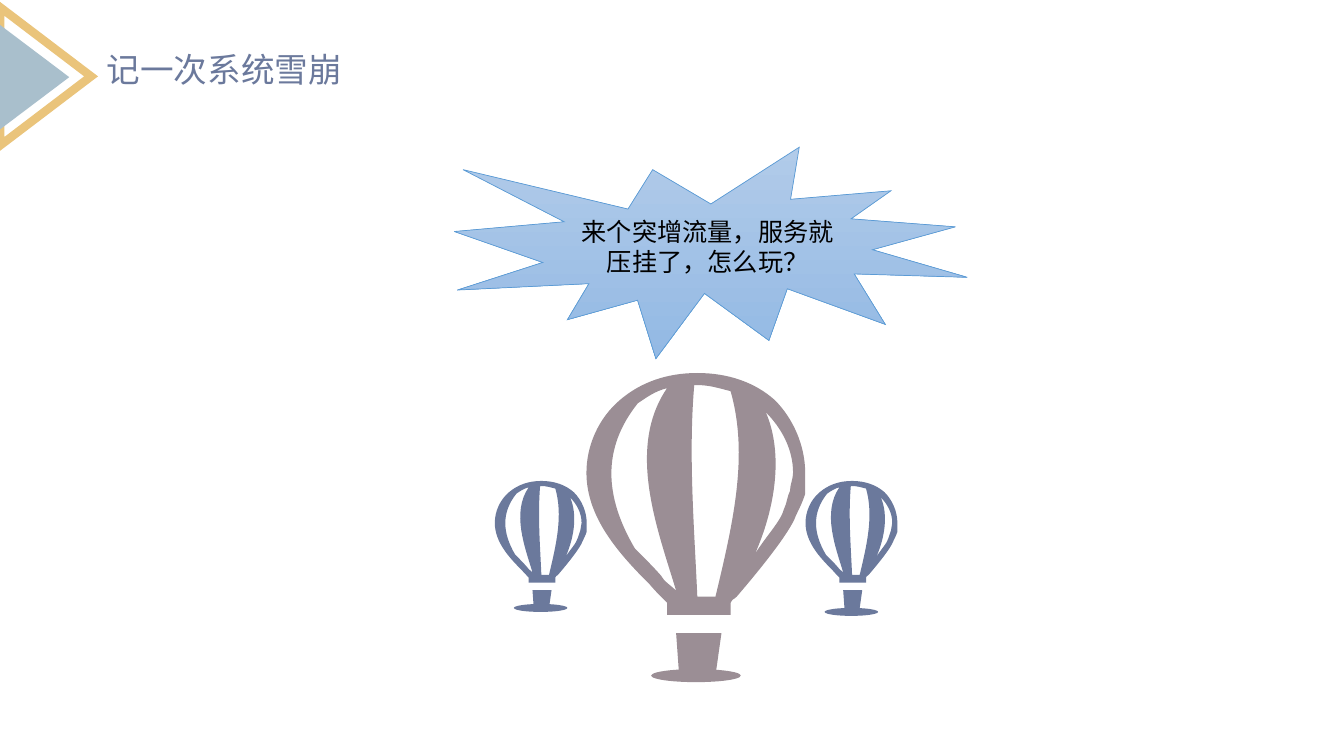
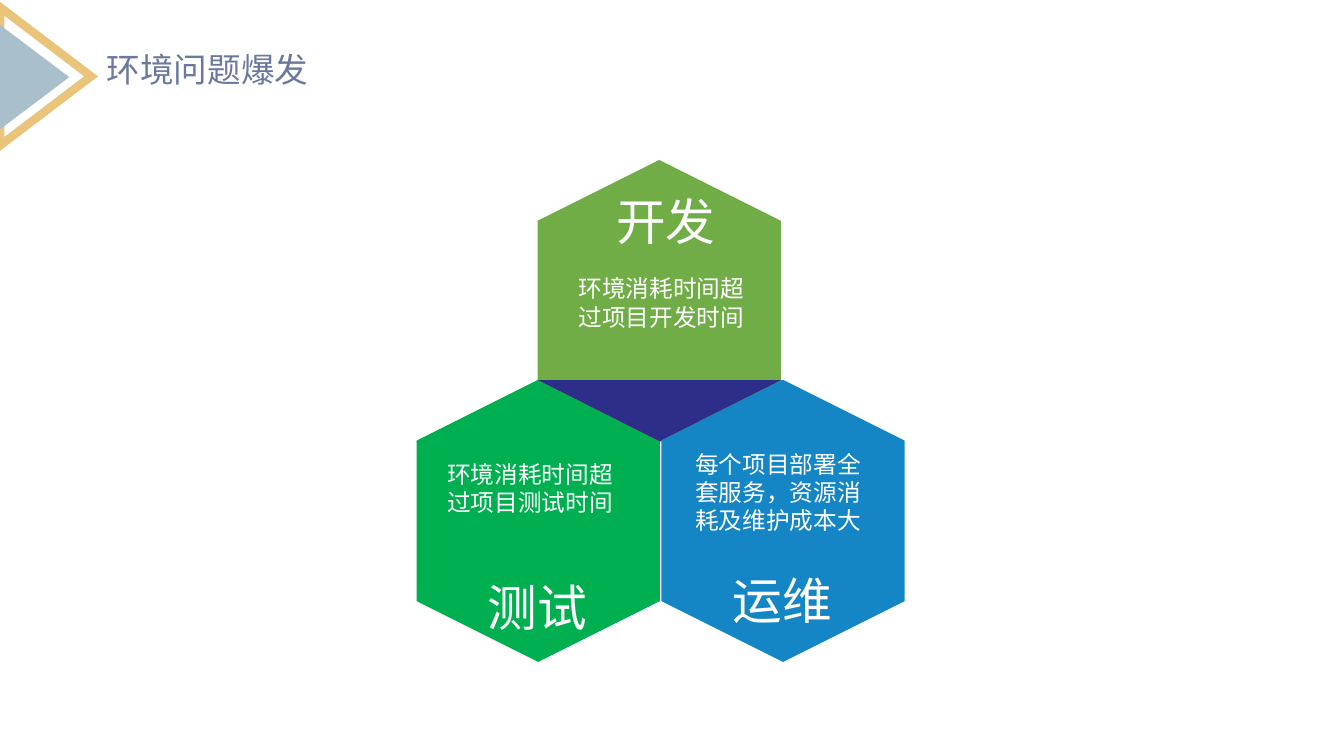
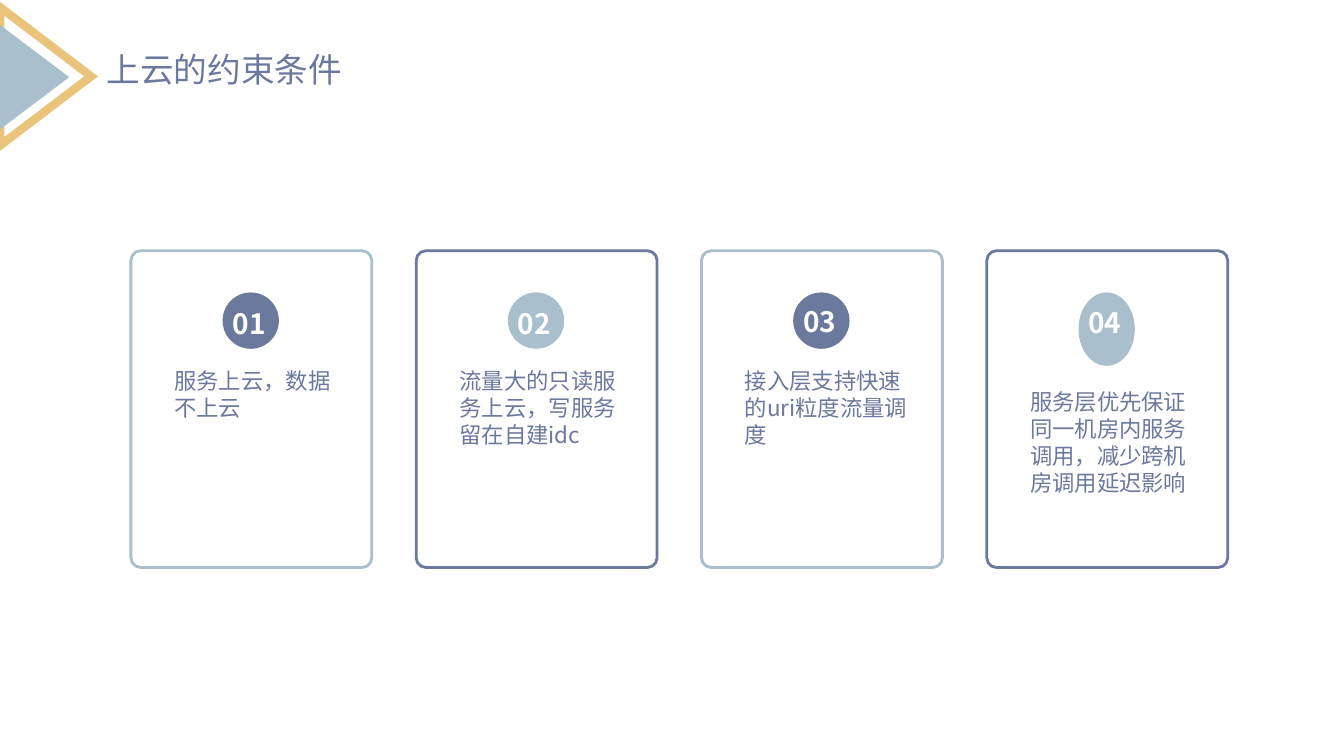
"""Builds three slides on a system overload, its environments and the move to the cloud."""
from dataclasses import dataclass

from lxml.etree import SubElement
from pptx import Presentation
from pptx.dml.color import RGBColor as RGB
from pptx.enum.shapes import MSO_SHAPE as Kind
from pptx.enum.text import MSO_ANCHOR as Anchor, MSO_AUTO_SIZE as Fit, PP_ALIGN as Align
from pptx.oxml.ns import qn
from pptx.util import Cm, Pt


@dataclass(frozen=True)
class Theme:
    slate: str = "6B799C"
    mist: str = "A9BFCC"
    gold: str = "EAC47B"
    mauve: str = "9B8E95"
    sky: str = "5B9BD5"
    light: str = "B1CBE9"
    deep: str = "93B9E4"
    blue: str = "1486C6"
    green: str = "00B050"
    leaf: str = "70AD47"
    navy: str = "2D2D8A"
    white: str = "FFFFFF"
    black: str = "000000"
    font: str = "Noto Sans CJK SC"
    latin: str = "Calibri"
    title: float = 24
    label: float = 35.5
    note: float = 16.9
    body: float = 16
    digit: float = 20
    shout: float = 18


look = Theme()


def paint(shape, fill=None, edge=None, width=0):
    shape.shadow.inherit = False
    if fill:
        shape.fill.solid()
        shape.fill.fore_color.rgb = RGB.from_string(fill)
    else:
        shape.fill.background()
    if edge:
        shape.line.color.rgb = RGB.from_string(edge)
        shape.line.width = Pt(width)
        SubElement(shape.line._get_or_add_ln(), qn("a:miter"), lim="800000")
    else:
        shape.line.fill.background()
    return shape


def write(shape, text, size, color, face=look.font, bold=False, align=Align.LEFT, **frame):
    form = {"word_wrap": True, "auto_size": Fit.SHAPE_TO_FIT_TEXT, **frame}
    for key, val in form.items():
        setattr(shape.text_frame, key, val)
    para = shape.text_frame.paragraphs[0]
    para.alignment = align
    run = para.add_run()
    run.text = text
    for key, val in {"size": Pt(size), "bold": bold, "name": face}.items():
        setattr(run.font, key, val)
    run.font.color.rgb = RGB.from_string(color)
    SubElement(run._r.get_or_add_rPr(), qn("a:ea"), typeface=look.font)


deck = Presentation()
deck.slide_width, deck.slide_height = Cm(33.87), Cm(19.05)

pages = []
for title in ("记一次系统雪崩", "环境问题爆发", "上云的约束条件"):
    shapes = deck.slides.add_slide(deck.slide_layouts[6]).shapes
    for spot, style in (
        ((-0.59, 0.78, 3.48, 2.29), {"edge": look.gold, "width": 6}),
        ((-0.45, 1.07, 2.64, 1.75), {"fill": look.mist}),
    ):
        arrow = paint(shapes.add_shape(Kind.ISOSCELES_TRIANGLE, *map(Cm, spot)), **style)
        arrow.rotation = 90
    write(shapes.add_textbox(*map(Cm, (2.44, 1.12, 7.42, 1.27))), title, look.title, look.slate)
    pages.append(shapes)
crash, sites, cloud = pages

hull = [
    (110, 0), (140, 0, 167, 9, 187, 27), (205, 45, 217, 72, 217, 99),
    (217, 108, 217, 114, 217, 120), (214, 129, 211, 135, 208, 141),
    (202, 159, 167, 201, 149, 222), (146, 225, 143, 225, 143, 228),
    (143, 240), (80, 240), (80, 228), (74, 222, 68, 216, 63, 210),
    (33, 180, 0, 144, 0, 99), (0, 72, 12, 45, 33, 27), (54, 9, 80, 0, 110, 0),
]
basket = [(134, 258), (128, 300), (92, 300), (89, 258)]
middle = [
    (110, 222), (128, 222), (146, 147, 161, 81, 143, 18), (131, 15, 122, 12, 110, 12),
    (107, 12), (101, 81, 107, 153, 110, 222),
]
left = [
    (51, 30), (15, 75, 18, 123, 48, 174), (57, 183, 66, 192, 74, 201),
    (77, 207, 83, 210, 89, 216), (71, 156, 39, 75, 80, 15), (68, 18, 60, 24, 51, 30),
]
right = [
    (178, 39), (196, 81, 187, 135, 167, 180), (178, 162, 193, 147, 196, 135),
    (199, 129, 199, 123, 202, 117), (202, 111, 205, 105, 205, 99), (205, 75, 193, 54, 178, 39),
]
parts = (hull, basket, middle, left, right)

for x, y, tall, color, disc in (
    (14.78, 9.4, 7.62, look.mauve, (16.41, 16.86, 2.26, 0.33)),
    (20.3, 12.12, 3.2, look.slate, (20.78, 15.32, 1.35, 0.2)),
    (12.47, 12.12, 3.2, look.slate, (12.95, 15.22, 1.35, 0.2)),
):
    paint(crash.add_shape(Kind.OVAL, *map(Cm, disc)), color)
    unit = Cm(tall) / 300
    pen = None
    for part in parts:
        flat = [n * unit for move in part for n in move]
        dots = list(zip(flat[::2], flat[1::2]))
        if pen:
            pen.move_to(*dots[0])
        else:
            pen = crash.build_freeform(*dots[0])
        pen.add_line_segments(dots[1:], close=True)
    craft = paint(pen.convert_to_shape(Cm(x), Cm(y)), color)
    nodes = iter(list(craft._element.iter(qn("a:lnTo"))))
    for part in parts:
        for move in part[1:]:
            node = next(nodes)
            if len(move) == 6:
                node.tag = qn("a:cubicBezTo")
                for extra in (next(nodes), next(nodes)):
                    node.append(extra[0])
                    extra.getparent().remove(extra)

burst = crash.add_shape(Kind.EXPLOSION1, *map(Cm, (11.45, 3.71, 12.93, 5.33)))
paint(burst, look.light, look.sky, 0.5)
burst.fill.gradient()
burst.fill.gradient_angle = 270
for stop, color in zip(burst.fill.gradient_stops, (look.light, look.deep)):
    stop.color.rgb = RGB.from_string(color)
write(burst, "来个突增流量，服务就压挂了，怎么玩？", look.shout, look.black, look.latin,
      align=Align.CENTER, auto_size=Fit.NONE, vertical_anchor=Anchor.MIDDLE)

for x, y, color in (
    (16.18, 10.06, look.blue), (10.01, 10.06, look.green), (13.06, 4.52, look.leaf),
):
    cell = paint(sites.add_shape(Kind.HEXAGON, *map(Cm, (x, y, 7.11, 6.13))), color)
    cell.rotation = 270

for x, turn, color in ((18.92, 270, look.blue), (12.78, 270, look.green), (15.85, 90, look.navy)):
    pen = sites.build_freeform(0, 0)
    pen.add_line_segments([(Cm(1.54), Cm(3.06)), (0, Cm(6.12))], close=True)
    tip = paint(pen.convert_to_shape(Cm(x), Cm(7.29)), color)
    tip.rotation = turn

for name, x, y in (("开发", 15.28, 4.68), ("运维", 18.21, 14.23), ("测试", 12.04, 14.4)):
    write(sites.add_textbox(*map(Cm, (x, y, 3.05, 1.78))), name, look.label, look.white,
          word_wrap=False)

for note, x, y, tall in (
    ("环境消耗时间超过项目开发时间", 14.33, 6.78, 1.7),
    ("环境消耗时间超过项目测试时间", 11.02, 11.46, 1.7),
    ("每个项目部署全套服务，资源消耗及维护成本大", 17.27, 11.2, 2.41),
):
    write(sites.add_textbox(*map(Cm, (x, y, 4.93, tall))), note, look.note, look.white)

inset = {
    "margin_left": Cm(0.33), "margin_right": Cm(0.33),
    "margin_top": Cm(0.18), "margin_bottom": Cm(0.18), "auto_size": Fit.NONE,
}
tones = (look.mist, look.slate)
for i, (text, top, tall, high, mark, wide) in enumerate((
    ("服务上云，数据不上云", 9.07, 2.67, 1.42, 7.59, 1.42),
    ("流量大的只读服务上云，写服务留在自建idc", 9.07, 2.67, 1.42, 7.59, 1.42),
    ("接入层支持快速的uri粒度流量调度", 9.07, 2.67, 1.42, 7.54, 1.42),
    ("服务层优先保证同一机房内服务调用，减少跨机房调用延迟影响", 9.6, 3.51, 1.85, 7.57, 1.6),
)):
    x = 3.3 + 7.19 * i
    card = cloud.add_shape(Kind.ROUNDED_RECTANGLE, *map(Cm, (x, 6.32, 6.07, 7.98)))
    card.adjustments[0] = 0.04
    paint(card, edge=tones[i % 2], width=2)
    write(cloud.add_textbox(*map(Cm, (x + 0.76, top, 4.85, tall))), text, look.body, look.slate,
          **inset)
    paint(cloud.add_shape(Kind.OVAL, *map(Cm, (x + 2.31, 7.37, 1.42, high))), tones[1 - i % 2])
    write(cloud.add_textbox(*map(Cm, (x + 2.31, mark, wide, 1.12))), f"{i + 1:02}", look.digit,
          look.white, bold=True)

deck.save("out.pptx")
